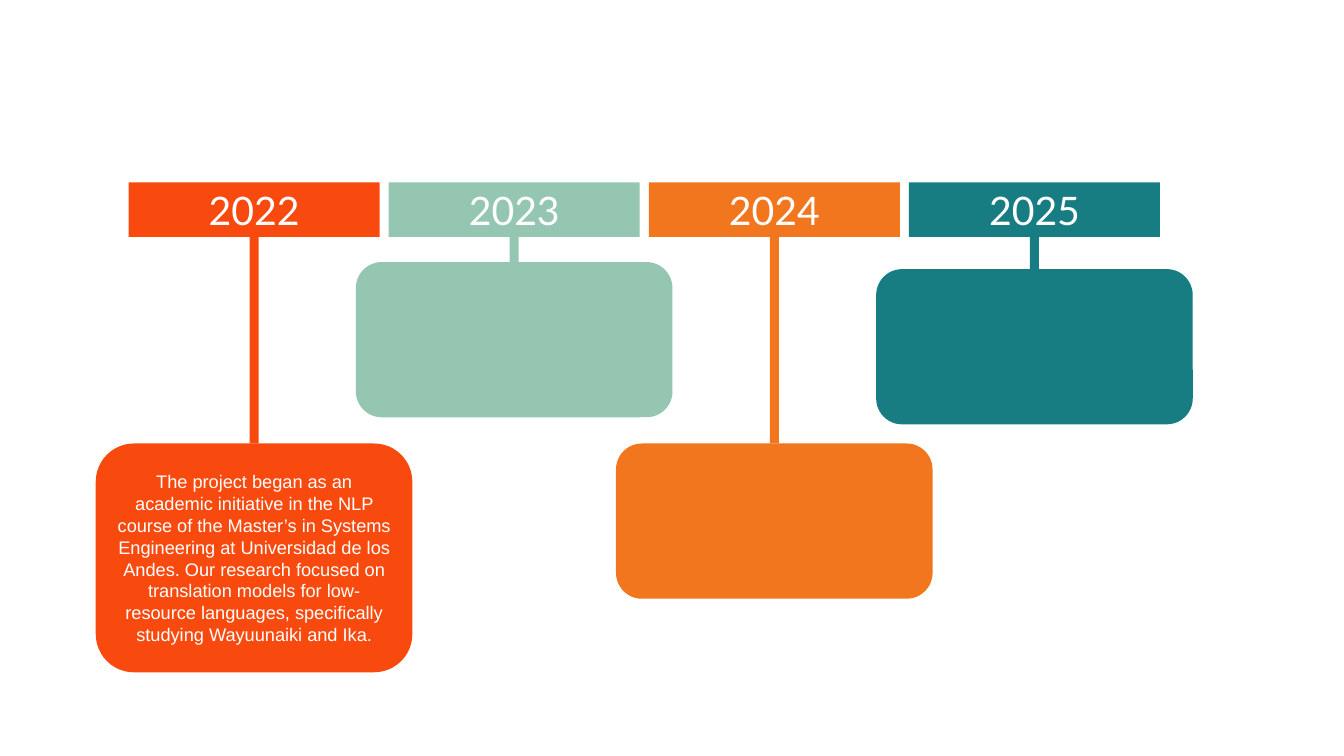
from dataclasses import dataclass

from pptx import Presentation
from pptx.dml.color import RGBColor
from pptx.enum.shapes import MSO_SHAPE as Preset
from pptx.enum.text import MSO_ANCHOR as Anchor, PP_ALIGN as Align
from pptx.util import Inches, Pt


@dataclass(frozen=True)
class Theme:
    colors: tuple = ("F84A0E", "95C6B1", "F1761D", "177D83")
    text_color: str = "FFFFFF"
    year_font: str = "Lato"
    year_size: int = 28
    body_font: str = "Arial"
    body_size: int = 13


THEME = Theme()

# Column grid, in inches
FIRST_CENTER = 2.52
COLUMN_PITCH = 2.58
HEADER_WIDTH, HEADER_HEIGHT = 2.49, 0.54
CARD_WIDTH, CARD_HEIGHT = 3.14, 1.54
STEM_WIDTH = 0.09
HEADER_TOP = 1.81
STEM_TOP = HEADER_TOP + HEADER_HEIGHT
LOW_ROW = 4.4

STORY = (
    "The project began as an academic initiative in the NLP course of the "
    "Master’s in Systems Engineering at Universidad de los Andes. Our research "
    "focused on translation models for low-resource languages, specifically "
    "studying Wayuunaiki and Ika."
)

# Year, card top, card height, stem height, card text
MILESTONES = (
    ("2022", LOW_ROW, 2.27, LOW_ROW - STEM_TOP, STORY),
    ("2023", 2.6, CARD_HEIGHT, 0.32, ""),
    ("2024", LOW_ROW, CARD_HEIGHT, LOW_ROW - STEM_TOP, ""),
    ("2025", 2.67, CARD_HEIGHT, 0.32, ""),
)


def add_block(slide, preset, center, top, width, height, color):
    """Add a flat, borderless shape centred on a column."""
    box = (center - width / 2, top, width, height)
    shape = slide.shapes.add_shape(preset, *map(Inches, box))
    shape.shadow.inherit = False
    shape.fill.solid()
    shape.fill.fore_color.rgb = RGBColor.from_string(color)
    shape.line.fill.background()
    return shape


def write_text(shape, text, font_name, size):
    """Write one centred paragraph into a shape."""
    frame = shape.text_frame
    frame_format = {
        "word_wrap": True,
        "vertical_anchor": Anchor.MIDDLE,
        "margin_left": Inches(0.09),
        "margin_right": Inches(0.09),
    }
    for name, value in frame_format.items():
        setattr(frame, name, value)
    paragraph = frame.paragraphs[0]
    paragraph.alignment = Align.CENTER
    run = paragraph.add_run()
    run.text = text
    for name, value in {"name": font_name, "size": Pt(size)}.items():
        setattr(run.font, name, value)
    run.font.color.rgb = RGBColor.from_string(THEME.text_color)


def add_header(slide, center, year, color):
    header = add_block(slide, Preset.RECTANGLE, center, HEADER_TOP,
                       HEADER_WIDTH, HEADER_HEIGHT, color)
    write_text(header, year, THEME.year_font, THEME.year_size)


def add_card(slide, center, top, height, text, color):
    card = add_block(slide, Preset.ROUNDED_RECTANGLE, center, top,
                     CARD_WIDTH, height, color)
    if text:
        write_text(card, text, THEME.body_font, THEME.body_size)


def add_stem(slide, center, height, color):
    add_block(slide, Preset.RECTANGLE, center, STEM_TOP,
              STEM_WIDTH, height, color)


def main():
    presentation = Presentation()
    presentation.slide_width = Inches(13.33)
    presentation.slide_height = Inches(7.5)
    slide = presentation.slides.add_slide(presentation.slide_layouts[6])

    # Each milestone: year header, card below it, stem between them
    for column, milestone in enumerate(MILESTONES):
        year, card_top, card_height, stem_height, text = milestone
        center = FIRST_CENTER + column * COLUMN_PITCH
        color = THEME.colors[column]
        add_header(slide, center, year, color)
        add_card(slide, center, card_top, card_height, text, color)
        add_stem(slide, center, stem_height, color)

    presentation.save("out.pptx")


if __name__ == "__main__":
    main()
